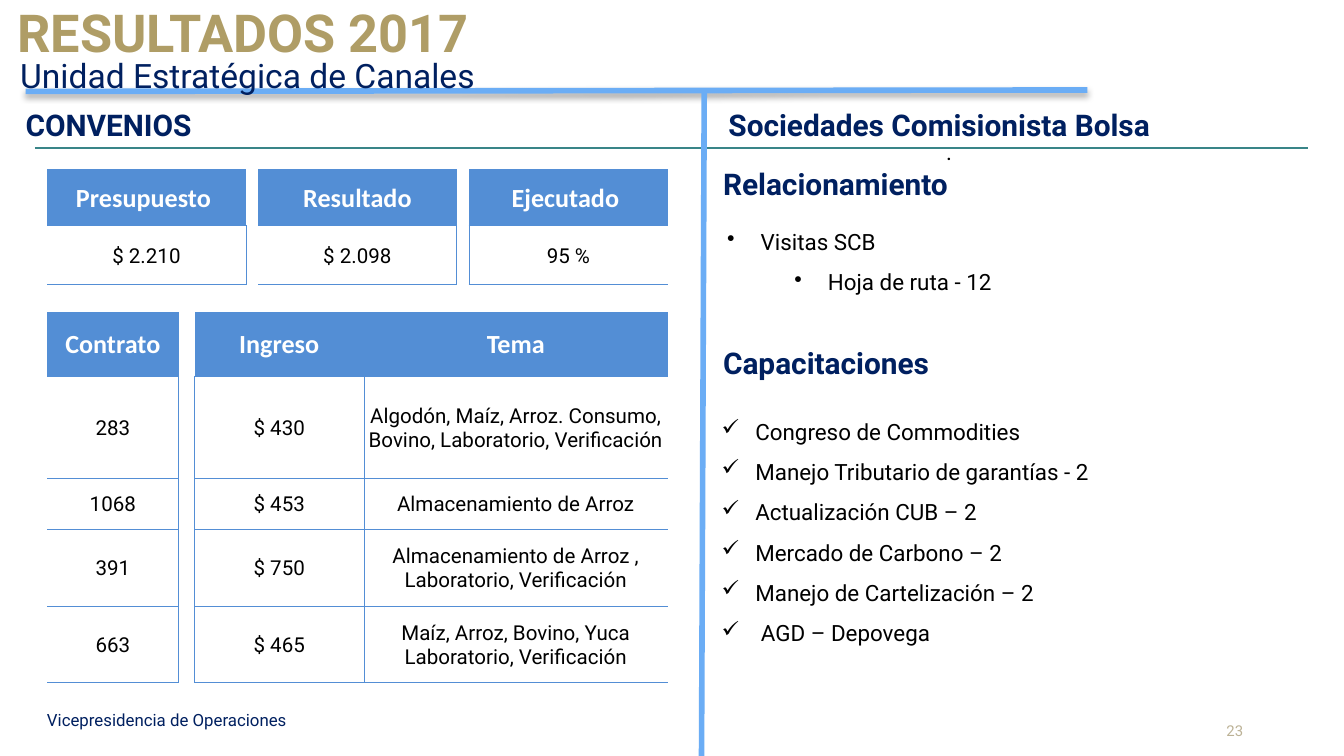
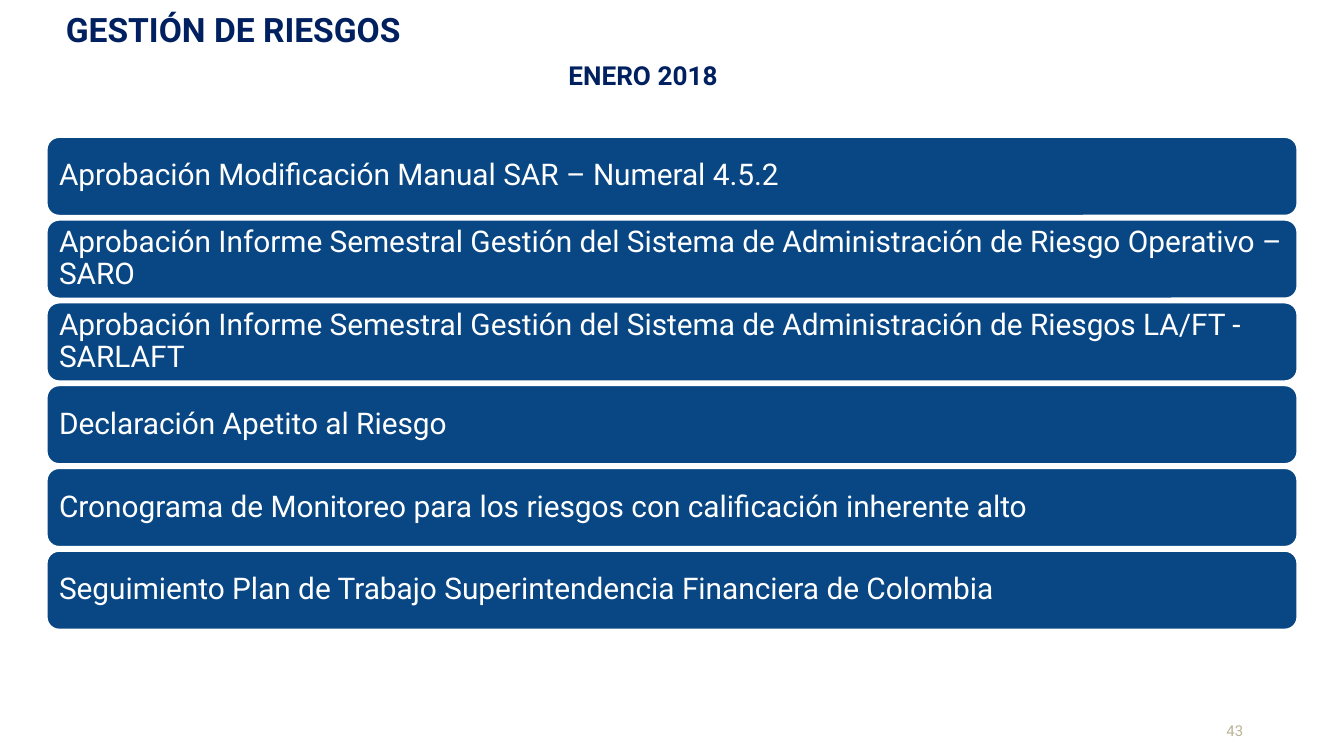
from lxml import etree
from pptx import Presentation
from pptx.dml.color import RGBColor
from pptx.enum.shapes import MSO_CONNECTOR as Connector, MSO_SHAPE as Shape
from pptx.enum.text import MSO_ANCHOR as Anchor, PP_ALIGN as Align
from pptx.oxml.ns import qn
from pptx.util import Inches, Pt

NAVY = RGBColor(0x00, 0x20, 0x60)
GOLD = RGBColor(0xAF, 0x9D, 0x66)
PALE_GOLD = RGBColor(0xBC, 0xB2, 0x96)
SKY = RGBColor(0x6B, 0xAD, 0xF5)
TEAL = RGBColor(0x39, 0x85, 0x88)
TABLE_BLUE = RGBColor(0x53, 0x8E, 0xD5)
BAR_BLUE = RGBColor(0x09, 0x47, 0x84)
BLACK = RGBColor(0x00, 0x00, 0x00)
WHITE = RGBColor(0xFF, 0xFF, 0xFF)
FONT = "Roboto"
HEADER_FONT = "Calibri"

presentation = Presentation()
presentation.slide_width = Inches(10)
presentation.slide_height = presentation.slide_width * 9 // 16
COLUMN = presentation.slide_width // 100
ROW = presentation.slide_height // 100


def add_text(slide, left, top, width, height, text, size, color, bold=False, spacing=1.2):
    box = slide.shapes.add_textbox(
        int(left * COLUMN), int(top * ROW), int(width * COLUMN), int(height * ROW))
    frame = box.text_frame
    frame.word_wrap = True
    frame.margin_left = frame.margin_right = frame.margin_top = frame.margin_bottom = 0
    frame.text = text
    for paragraph in frame.paragraphs:
        paragraph.line_spacing = spacing
        paragraph.font.name = FONT
        paragraph.font.size = Pt(size)
        paragraph.font.bold = bold
        paragraph.font.color.rgb = color
    return frame


def add_rule(slide, left, top, right, bottom, color, weight):
    rule = slide.shapes.add_connector(
        Connector.STRAIGHT,
        int(left * COLUMN), int(top * ROW), int(right * COLUMN), int(bottom * ROW))
    rule.line.color.rgb = color
    rule.line.width = Pt(weight)
    return etree.SubElement(rule._element.spPr, qn("a:effectLst"))


blank = presentation.slide_layouts[6]
results = presentation.slides.add_slide(blank)
risks = presentation.slides.add_slide(blank)

for slide, number in ((results, "23"), (risks, "43")):
    frame = add_text(slide, 89.3, 95.5, 3.2, 2.3, number, 8, PALE_GOLD, spacing=1)
    frame.vertical_anchor = Anchor.BOTTOM
    frame.paragraphs[0].alignment = Align.RIGHT

effects = add_rule(results, 1.9, 12.1, 80.9, 11.9, SKY, 3)
shadow = etree.SubElement(
    effects, qn("a:outerShdw"), blurRad=str(Pt(3.1)), dist=str(Pt(1.8)),
    dir="5400000", rotWithShape="0")
shadow_color = etree.SubElement(shadow, qn("a:srgbClr"), val=str(BLACK))
etree.SubElement(shadow_color, qn("a:alpha"), val="35000")
add_rule(results, 2.6, 19.56, 97.3, 19.56, TEAL, 0.75)
add_rule(results, 52.4, 12.1, 52.2, 100, SKY, 3)

add_text(results, 1.3, -1.6, 36.3, 10.1, "RESULTADOS 2017", 28, GOLD, True)
add_text(results, 1.5, 6.2, 34.8, 6.4, "Unidad Estratégica de Canales", 18, NAVY)
add_text(results, 70.4, 17.6, 25.5, 4.3, ".", 12, BLACK)
add_text(results, 3.5, 93.3, 47.7, 3.2, "Vicepresidencia de Operaciones", 9, NAVY)
for left, top, heading in (
    (1.9, 13.16, "CONVENIOS"),
    (54.2, 13.16, "Sociedades Comisionista Bolsa"),
    (53.8, 21, "Relacionamiento"),
    (53.8, 44.6, "Capacitaciones"),
):
    add_text(results, left, top, 40.9, 5.7, heading, 16, NAVY, True)

trainings = (
    "Congreso de Commodities",
    "Manejo Tributario de garantías - 2",
    "Actualización CUB – 2",
    "Mercado de Carbono – 2",
    "Manejo de Cartelización – 2",
    " AGD – Depovega",
)
for left, top, height, bullet, items, levels in (
    (51.6, 28.4, 16.2, "•", ("Visitas SCB", "Hoja de ruta - 12"), (1, 2)),
    (51.2, 53.5, 32.4, "✓", trainings, (1,) * len(trainings)),
):
    frame = add_text(results, left, top, 47.9, height, "\n".join(items), 12, BLACK, spacing=1.5)
    for paragraph, level in zip(frame.paragraphs, levels):
        paragraph.level = level
        properties = paragraph._p.get_or_add_pPr()
        properties.set("marL", str(level * 5 * COLUMN))
        properties.set("indent", str(int(-2.5 * COLUMN)))
        mark = etree.Element(qn("a:buChar"), char=bullet)
        properties.find(qn("a:defRPr")).addprevious(mark)

budget = (
    ("Presupuesto ", "", "Resultado", "", "Ejecutado "),
    ("$ 2.210", "", "$ 2.098", "", "95 %"),
)
contracts = (
    ("Contrato", "", "", "Ingreso", "Tema"),
    ("283", "", "", "$ 430",
     "Algodón, Maíz, Arroz. Consumo, Bovino, Laboratorio, Verificación"),
    ("1068", "", "", "$ 453", "Almacenamiento de Arroz"),
    ("391", "", "", "$ 750", "Almacenamiento de Arroz , Laboratorio, Verificación"),
    ("663", "", "", "$ 465", "Maíz, Arroz, Bovino, Yuca Laboratorio, Verificación"),
)
for top, values, widths, heights, borders in (
    (22.4, budget, (14.8, 0.9, 14.8, 0.9, 14.8), (7.47, 7.82),
     ("RTB", "L", "RTB", "LR", "LTB")),
    (41.25, contracts, (9.8, 0.5, 0.5, 12.6, 22.6), (8.53, 13.51, 6.76, 10.13, 10.13),
     ("RTB", "L", "R", "LRTB", "LTB")),
):
    table = results.shapes.add_table(
        len(heights), len(widths), int(3.5 * COLUMN), int(top * ROW),
        int(sum(widths) * COLUMN), int(sum(heights) * ROW)).table
    table.horz_banding = False
    for column, width in zip(table.columns, widths):
        column.width = int(width * COLUMN)
    for row_index, (row, height) in enumerate(zip(table.rows, heights)):
        row.height = int(height * ROW)
        is_header = row_index == 0
        for cell, value, body_sides in zip(row.cells, values[row_index], borders):
            cell.text = value
            cell.vertical_anchor = Anchor.MIDDLE
            cell.margin_left = cell.margin_right = cell.margin_top = Inches(0.01)
            cell.margin_bottom = 0
            paragraph = cell.text_frame.paragraphs[0]
            paragraph.alignment = Align.CENTER
            paragraph.font.name = HEADER_FONT if is_header else FONT
            paragraph.font.size = Pt(14 if is_header else 11)
            paragraph.font.bold = is_header
            paragraph.font.color.rgb = WHITE if is_header else BLACK
            if is_header and value:
                cell.fill.solid()
                cell.fill.fore_color.rgb = TABLE_BLUE
            else:
                cell.fill.background()
            sides = body_sides
            if is_header:
                sides = "B" if value else ""
            properties = cell._tc.get_or_add_tcPr()
            for position, side in enumerate("LRTB"):
                edge = etree.Element(qn("a:ln" + side), w=str(Pt(0.5)))
                if side in sides:
                    edge_fill = etree.SubElement(edge, qn("a:solidFill"))
                    etree.SubElement(edge_fill, qn("a:srgbClr"), val=str(TABLE_BLUE))
                else:
                    etree.SubElement(edge, qn("a:noFill"))
                properties.insert(position, edge)

frame = add_text(risks, 4.9, 0, 64.4, 7.8, "GESTIÓN DE RIESGOS", 18, NAVY, True, 1)
frame.vertical_anchor = Anchor.MIDDLE
frame = add_text(risks, 31.1, 7.8, 33.5, 5, "ENERO 2018", 14, NAVY, True, Pt(17))
frame.paragraphs[0].alignment = Align.CENTER
frame.paragraphs[0].space_before = Pt(6)
frame.paragraphs[0].space_after = Pt(12)

tasks = (
    "Aprobación Modificación Manual SAR – Numeral 4.5.2",
    "Aprobación Informe Semestral Gestión del Sistema de Administración de Riesgo Operativo – SARO",
    "Aprobación Informe Semestral Gestión del Sistema de Administración de Riesgos LA/FT - SARLAFT",
    "Declaración Apetito al Riesgo",
    "Cronograma de Monitoreo para los riesgos con calificación inherente alto",
    "Seguimiento Plan de Trabajo Superintendencia Financiera de Colombia",
)
for index, task in enumerate(tasks):
    bar = risks.shapes.add_shape(
        Shape.ROUNDED_RECTANGLE, int(3.4 * COLUMN), int((18 + index * 10.95) * ROW),
        int(93.2 * COLUMN), int(10.67 * ROW))
    bar.shadow.inherit = False
    bar.fill.solid()
    bar.fill.fore_color.rgb = BAR_BLUE
    bar.line.color.rgb = WHITE
    bar.line.width = Pt(2)
    frame = bar.text_frame
    frame.word_wrap = True
    frame.vertical_anchor = Anchor.MIDDLE
    frame.margin_left = frame.margin_right = Inches(0.07)
    frame.margin_top = frame.margin_bottom = Inches(0.05)
    frame.text = task
    paragraph = frame.paragraphs[0]
    paragraph.alignment = Align.LEFT
    paragraph.line_spacing = 0.9
    paragraph.font.name = FONT
    paragraph.font.size = Pt(16)
    paragraph.font.color.rgb = WHITE

presentation.save("out.pptx")
